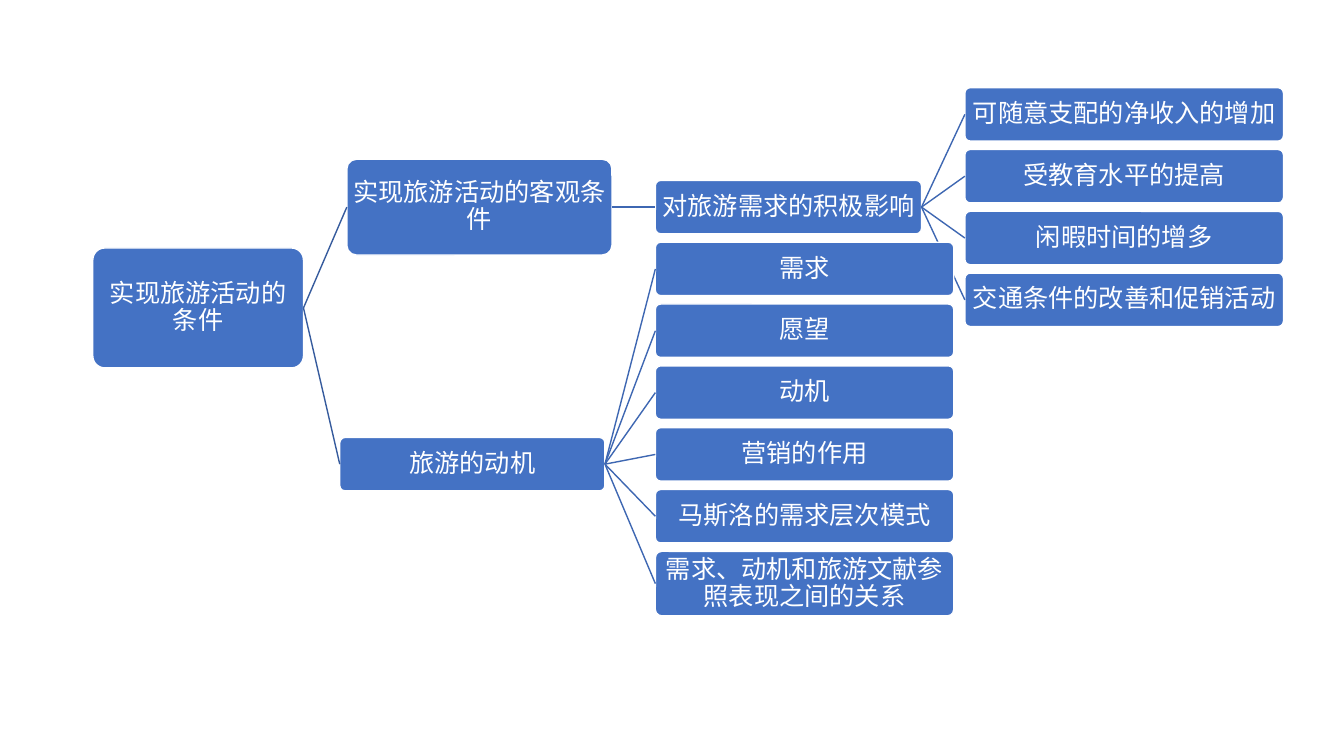
from dataclasses import dataclass, field

from lxml.etree import SubElement
from pptx import Presentation
from pptx.dml.color import RGBColor
from pptx.enum.shapes import MSO_CONNECTOR, MSO_SHAPE
from pptx.enum.text import MSO_ANCHOR, PP_ALIGN
from pptx.oxml.ns import qn
from pptx.shapes.autoshape import Shape
from pptx.slide import Slide
from pptx.util import Inches, Pt

BLUE = RGBColor(0x44, 0x72, 0xC4)
WHITE = RGBColor(0xFF, 0xFF, 0xFF)
ROOT_BRANCH = RGBColor(0x36, 0x5B, 0x9D)
LOWER_BRANCH = RGBColor(0x3E, 0x67, 0xB2)
FONT = "Noto Sans CJK SC"

ROW_HEIGHT = 0.53
FACTOR_LEFT, FACTOR_TOP = 6.5, 1.79
EFFECT_LEFT, EFFECT_TOP = 9.57, 0.87
ROW_STEP = (5.47 - FACTOR_TOP) / 6  # seven factor rows, evenly spaced


@dataclass
class Topic:
    text: str
    left: float
    top: float
    width: float
    height: float = ROW_HEIGHT
    children: list["Topic"] = field(default_factory=list)


def write_text(shape: Shape, text: str, *, size: float = 18,
               color: RGBColor = WHITE, font: str = FONT) -> None:
    frame = shape.text_frame
    frame.word_wrap = True
    frame.vertical_anchor = MSO_ANCHOR.MIDDLE
    frame.margin_left = frame.margin_right = Inches(0.02)
    frame.margin_top = frame.margin_bottom = Inches(0.01)
    paragraph = frame.paragraphs[0]
    paragraph.alignment = PP_ALIGN.CENTER
    paragraph.line_spacing = 0.9
    run = paragraph.add_run()
    run.text = text
    run.font.size = Pt(size)
    run.font.color.rgb = color
    run.font.name = font
    SubElement(run.font._element, qn("a:ea"), typeface=font)


def draw_box(slide: Slide, topic: Topic) -> Shape:
    box = slide.shapes.add_shape(
        MSO_SHAPE.ROUNDED_RECTANGLE, Inches(topic.left), Inches(topic.top),
        Inches(topic.width), Inches(topic.height))
    box.adjustments[0] = 0.1
    box.shadow.inherit = False
    box.fill.solid()
    box.fill.fore_color.rgb = BLUE
    box.line.color.rgb = WHITE
    box.line.width = Pt(1)
    write_text(box, topic.text)
    return box


def draw_branch(slide: Slide, parent: Shape, child: Shape, color: RGBColor) -> None:
    branch = slide.shapes.add_connector(MSO_CONNECTOR.STRAIGHT, 0, 0, 0, 0)
    branch.begin_connect(parent, 3)
    branch.end_connect(child, 1)
    branch.line.color.rgb = color
    branch.line.width = Pt(1)
    SubElement(branch._element.spPr, qn("a:effectLst"))


def draw_tree(slide: Slide, topic: Topic, color: RGBColor) -> Shape:
    """Draw a topic, then each child with its branch, depth first."""
    box = draw_box(slide, topic)
    for child in topic.children:
        child_box = draw_tree(slide, child, LOWER_BRANCH)
        draw_branch(slide, box, child_box, color)
    return box


def build_topics() -> Topic:
    # Right column: effects on demand
    effects = [
        Topic(text, EFFECT_LEFT, EFFECT_TOP + row * ROW_STEP, 3.16)
        for row, text in enumerate([
            "可随意支配的净收入的增加", "受教育水平的提高",
            "闲暇时间的增多", "交通条件的改善和促销活动"])
    ]
    positive_influence = Topic(
        "对旅游需求的积极影响", FACTOR_LEFT, FACTOR_TOP, 2.64, children=effects)

    # Third column: aspects of motivation, below the positive influence
    aspects = [
        Topic(text, FACTOR_LEFT, FACTOR_TOP + row * ROW_STEP, 2.96)
        for row, text in enumerate([
            "需求", "愿望", "动机", "营销的作用", "马斯洛的需求层次模式",
            "需求、动机和旅游文献参照表现之间的关系"], start=1)
    ]
    aspects[-1].height = 0.64

    # Second column and root
    objective = Topic("实现旅游活动的客观条件", 3.44, 1.58, 2.63, 0.95,
                      [positive_influence])
    motivation = Topic("旅游的动机", 3.37, 4.34, 2.63, children=aspects)
    return Topic("实现旅游活动的条件", 0.92, 2.46, 2.09, 1.19,
                 [objective, motivation])


def main() -> None:
    deck = Presentation()
    deck.slide_width, deck.slide_height = Inches(13.33), Inches(7.5)
    slide = deck.slides.add_slide(deck.slide_layouts[6])
    draw_tree(slide, build_topics(), ROOT_BRANCH)
    deck.save("out.pptx")


if __name__ == "__main__":
    main()
